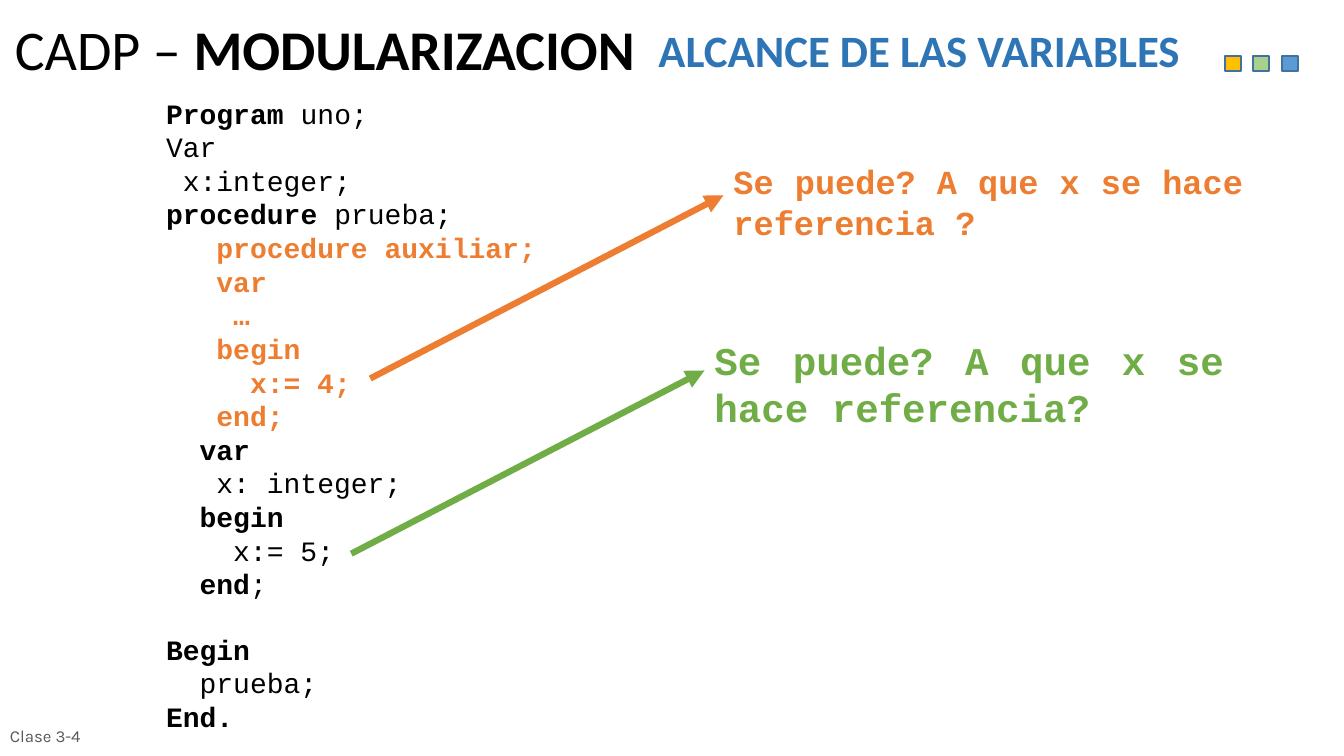
from pptx import Presentation
from pptx.dml.color import RGBColor
from pptx.enum.shapes import MSO_CONNECTOR as Connector, MSO_SHAPE as Shape
from pptx.enum.text import MSO_ANCHOR as Anchor, PP_ALIGN as Align
from pptx.oxml.ns import qn
from pptx.util import Pt
from lxml.etree import SubElement

PIXEL = 9080
BLACK, ORANGE, GREEN = "000000", "ED7D31", "70AD47"
CODE_FONT, CODE_SIZE = "Courier New", 20
CODE_COLUMN = Pt(12)
BLANK_LINE = Pt(22.65)

CODE_LINES = [
    (0, BLACK, [("Program", True), (" uno;", False)]),
    (0, BLACK, [("Var", False)]),
    (1, BLACK, [("x:integer;", False)]),
    (0, BLACK, [("procedure", True), (" prueba;", False)]),
    (3, ORANGE, [("procedure auxiliar;", True)]),
    (3, ORANGE, [("var", True)]),
    (4, ORANGE, [("…", True)]),
    (3, ORANGE, [("begin", True)]),
    (5, ORANGE, [("x:= 4;", True)]),
    (3, ORANGE, [("end;", True)]),
    (2, BLACK, [("var", True)]),
    (3, BLACK, [("x: integer;", False)]),
    (2, BLACK, [("begin", True)]),
    (4, BLACK, [("x:= 5;", False)]),
    (2, BLACK, [("end", True), (";", False)]),
    (0, BLACK, [("Begin", True)]),
    (2, BLACK, [("prueba;", False)]),
    (0, BLACK, [("End.", True)]),
]


def px(*lengths):
    return [length * PIXEL for length in lengths]


def color(hex_string):
    return RGBColor.from_string(hex_string)


def add_text_frame(slide, box, anchor=Anchor.TOP):
    frame = slide.shapes.add_textbox(*px(*box)).text_frame
    frame.word_wrap = True
    frame.vertical_anchor = anchor
    return frame


def add_run(paragraph, text, font, size, hex_string, bold=False):
    run = paragraph.add_run()
    run.text = text
    run.font.name = font
    run.font.size = Pt(size)
    run.font.bold = bold
    run.font.color.rgb = color(hex_string)


def add_title(slide, box):
    paragraph = add_text_frame(slide, box, Anchor.MIDDLE).paragraphs[0]
    paragraph.line_spacing = 0.9
    add_run(paragraph, "CADP – ", "Calibri", 40, BLACK)
    add_run(paragraph, "MODULARIZACION", "Calibri", 40, BLACK, True)


def add_subtitle(slide, box):
    paragraph = add_text_frame(slide, box).paragraphs[0]
    paragraph.alignment = Align.JUSTIFY
    add_run(paragraph, "ALCANCE DE LAS VARIABLES", "Calibri", 32, "2E75B6", True)


def add_squares(slide, box):
    left, top, width, height = box
    side = 16
    step = (width - side) / 2
    for index, fill in enumerate(("FFC000", "A9D18E", "5B9BD5")):
        position = px(round(left + index * step), top, side, height)
        square = slide.shapes.add_shape(Shape.RECTANGLE, *position)
        square.shadow.inherit = False
        square.fill.solid()
        square.fill.fore_color.rgb = color(fill)
        square.line.color.rgb = color("41719C")
        square.line.width = Pt(1)


def add_code(slide, box):
    frame = add_text_frame(slide, box)
    for index, (columns, hex_string, runs) in enumerate(CODE_LINES):
        paragraph = frame.add_paragraph() if index else frame.paragraphs[0]
        properties = paragraph._p.get_or_add_pPr()
        properties.set("marL", str(columns * CODE_COLUMN))
        properties.set("indent", "0")
        if runs[0][0] == "Begin":
            paragraph.space_before = BLANK_LINE
        for text, bold in runs:
            add_run(paragraph, text, CODE_FONT, CODE_SIZE, hex_string, bold)


def add_arrow(slide, start, end, hex_string):
    arrow = slide.shapes.add_connector(Connector.STRAIGHT, *px(*start, *end))
    arrow.line.color.rgb = color(hex_string)
    arrow.line.width = Pt(4.5)
    SubElement(arrow.line._get_or_add_ln(), qn("a:tailEnd"), type="triangle")
    SubElement(arrow._element.spPr, qn("a:effectLst"))


def add_question(slide, box, text, size, hex_string):
    left, top = box[:2]
    paragraph = add_text_frame(slide, box).paragraphs[0]
    paragraph.alignment = Align.JUSTIFY
    add_run(paragraph, text, CODE_FONT, size, hex_string, True)
    add_arrow(slide, (left - 353, top + 222), (left, top + 39), hex_string)


def add_footer(slide, box):
    paragraph = add_text_frame(slide, box, Anchor.MIDDLE).paragraphs[0]
    add_run(paragraph, "Clase 3-4", "Karla", 12, "595959")


def build_slide(presentation):
    slide = presentation.slides.add_slide(presentation.slide_layouts[6])
    add_subtitle(slide, (648, 18, 585, 64))
    add_title(slide, (5, 14, 935, 77))
    add_squares(slide, (1224, 56, 73, 15))
    add_code(slide, (156, 91, 483, 649))
    add_question(slide, (723, 156, 529, 91),
                 "Se puede? A que x se hace referencia ?", 24, ORANGE)
    add_question(slide, (704, 331, 529, 105),
                 "Se puede? A que x se hace referencia?", 28, GREEN)
    add_footer(slide, (0, 715, 235, 40))


presentation = Presentation()
presentation.slide_width, presentation.slide_height = px(1343, 755)
build_slide(presentation)
presentation.save("out.pptx")
